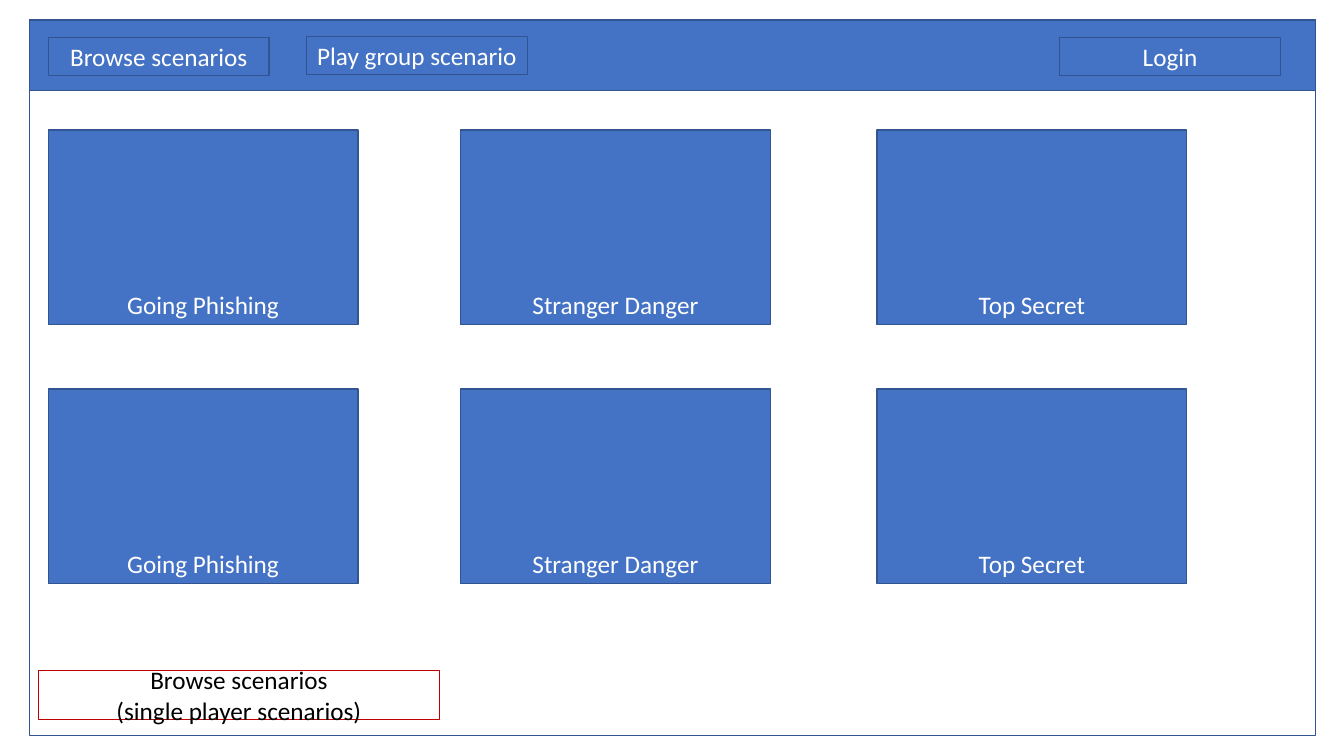
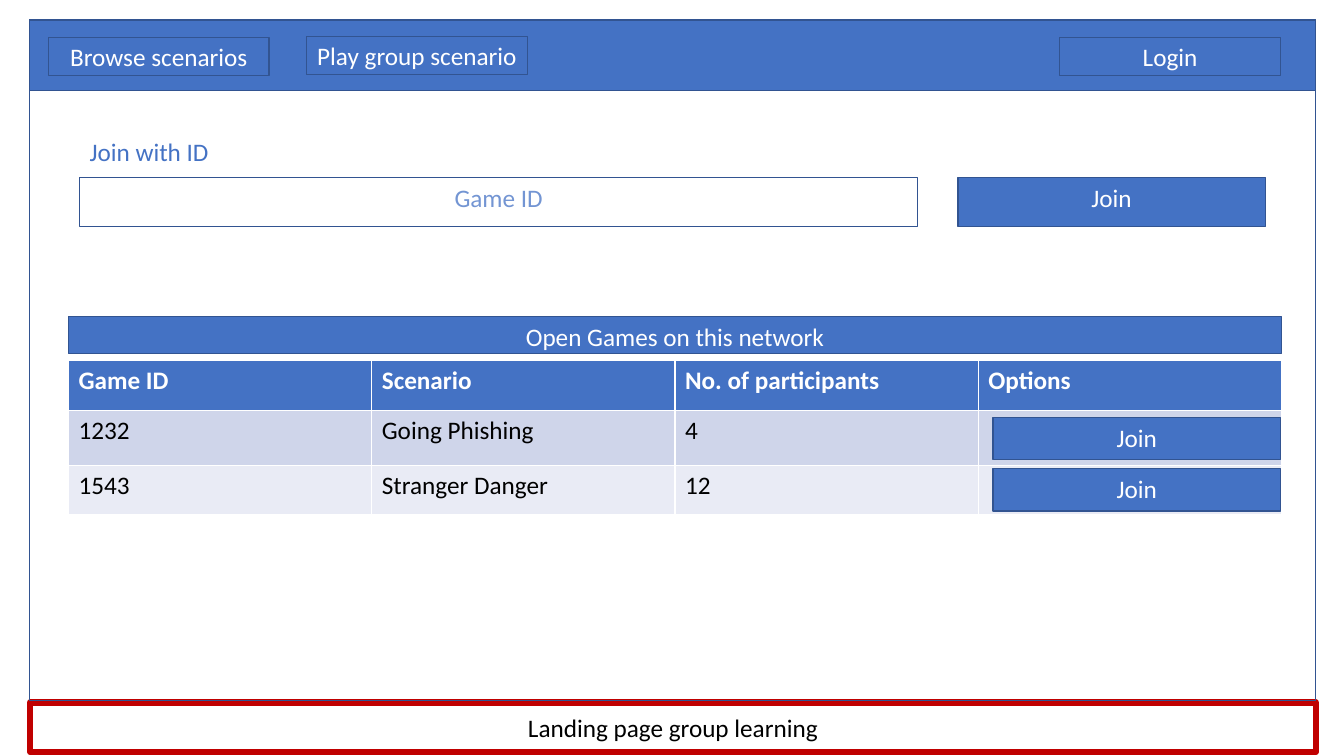
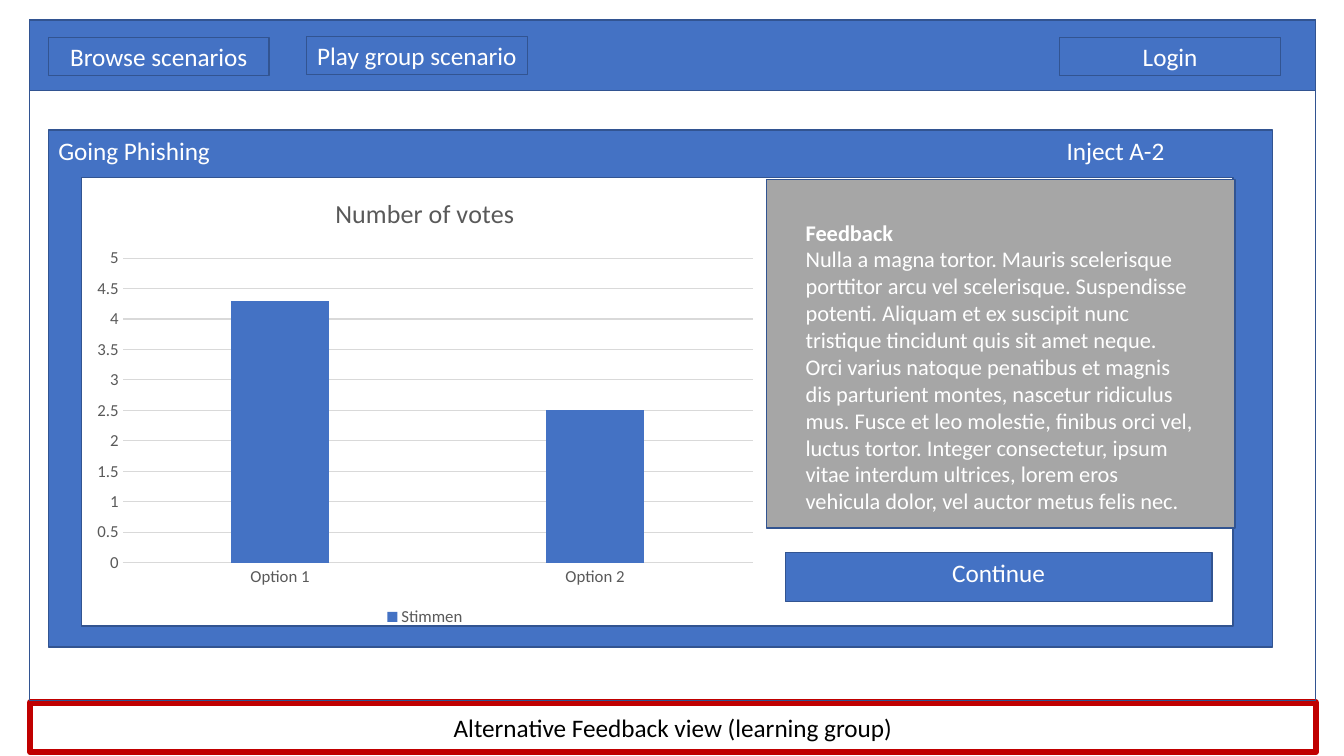
from lxml.etree import SubElement
from pptx import Presentation
from pptx.chart.data import CategoryChartData
from pptx.dml.color import RGBColor
from pptx.enum.chart import XL_CHART_TYPE as ChartType
from pptx.enum.chart import XL_LEGEND_POSITION as LegendPosition
from pptx.enum.chart import XL_TICK_MARK as TickMark
from pptx.enum.shapes import MSO_SHAPE as Shape
from pptx.enum.text import MSO_ANCHOR as Anchor
from pptx.enum.text import MSO_AUTO_SIZE as AutoSize
from pptx.enum.text import PP_ALIGN as Align
from pptx.oxml.ns import qn
from pptx.util import Inches, Pt

FONT = "Calibri"
BLUE, DARK_BLUE, PALE_BLUE = "4472C4", "325491", "7395D3"
WHITE, BLACK, RED = "FFFFFF", "000000", "C00000"
GRAY, AXIS_GRAY, GRID_GRAY = "A6A6A6", "595959", "D9D9D9"
ROW_FILLS = (BLUE, "CFD5EA", "E9EBF5")

SCENARIOS = ("Going Phishing", "Stranger Danger", "Top Secret")
OPEN_GAMES = (
    ("Game ID", "Scenario", "No. of participants", "Options"),
    ("1232", "Going Phishing", "4", ""),
    ("1543", "Stranger Danger", "12", ""),
)
FEEDBACK = (
    "Nulla a magna tortor. Mauris scelerisque porttitor arcu vel scelerisque. "
    "Suspendisse potenti. Aliquam et ex suscipit nunc tristique tincidunt quis "
    "sit amet neque. Orci varius natoque penatibus et magnis dis parturient "
    "montes, nascetur ridiculus mus. Fusce et leo molestie, finibus orci vel, "
    "luctus tortor. Integer consectetur, ipsum vitae interdum ultrices, lorem "
    "eros vehicula dolor, vel auctor metus felis nec."
)


def rgb(color):
    """Turn a hex string into a colour."""
    return RGBColor.from_string(color)


def style_font(font, color, size=18, bold=False):
    """Set the shared typeface with a colour, size and weight."""
    font.name, font.size, font.bold = FONT, Pt(size), bold
    font.color.rgb = rgb(color)


def write(frame, text, color=WHITE, align=Align.CENTER, anchor=Anchor.TOP, size=18):
    """Fill a text frame, one paragraph for each line of text."""
    frame.text = text
    frame.word_wrap = True
    frame.vertical_anchor = anchor
    for paragraph in frame.paragraphs:
        paragraph.alignment = align
        style_font(paragraph.font, color, size)


def add_box(slide, left, top, width, height, text="", fill=BLUE, **text_style):
    """Add an outlined rectangle, filled unless fill is None."""
    box = slide.shapes.add_shape(
        Shape.RECTANGLE, Inches(left), Inches(top), Inches(width), Inches(height))
    box.shadow.inherit = False
    if fill:
        box.fill.solid()
        box.fill.fore_color.rgb = rgb(fill)
    else:
        box.fill.background()
    box.line.color.rgb = rgb(DARK_BLUE)
    box.line.width = Pt(1)
    if text:
        write(box.text_frame, text, **text_style)
    return box


def add_tab_stop(paragraph, position):
    """Give a paragraph one left tab stop."""
    properties = paragraph._p.get_or_add_pPr()
    stops = SubElement(properties, qn("a:tabLst"))
    SubElement(stops, qn("a:tab"), pos=str(Inches(position)), algn="l")
    properties.insert(0, stops)


def add_caption(slide, text, left=0.3, top=6.97, width=12.75, line_width=4.5):
    """Turn the title placeholder into the red-framed page caption."""
    caption = slide.shapes.title
    caption.left, caption.top = Inches(left), Inches(top)
    caption.width, caption.height = Inches(width), Inches(0.49)
    caption.line.color.rgb = rgb(RED)
    caption.line.width = Pt(line_width)
    write(caption.text_frame, text, BLACK, anchor=Anchor.MIDDLE)
    caption.text_frame.auto_size = AutoSize.NONE


def add_page(deck, page_height=6.75):
    """Add a slide with the page frame and the navigation bar."""
    slide = deck.slides.add_slide(deck.slide_layouts[5])
    add_box(slide, 0.29, 0.2, 12.76, page_height, fill=None)
    add_box(slide, 0.29, 0.2, 12.76, 0.7)
    for left, top, label in ((0.48, 0.37, "Browse scenarios"),
                             (3.04, 0.36, "Play group scenario"),
                             (10.51, 0.37, "Login")):
        add_box(slide, left, top, 2.19, 0.38, label, fill=None, anchor=Anchor.MIDDLE)
    return slide


def add_games_table(slide):
    """Add the table of open games."""
    table = slide.shapes.add_table(
        len(OPEN_GAMES), len(OPEN_GAMES[0]),
        Inches(0.68), Inches(3.58), Inches(12.03), Inches(1.53)).table
    for row, height in zip(table.rows, (0.49, 0.55, 0.49)):
        row.height = Inches(height)
    for row_index, (game, fill) in enumerate(zip(OPEN_GAMES, ROW_FILLS)):
        is_header = row_index == 0
        for column_index, text in enumerate(game):
            cell = table.cell(row_index, column_index)
            cell.text = text
            cell.fill.solid()
            cell.fill.fore_color.rgb = rgb(fill)
            style_font(cell.text_frame.paragraphs[0].font,
                       WHITE if is_header else BLACK, bold=is_header)


def add_votes_chart(slide):
    """Add the column chart of votes per option."""
    votes = CategoryChartData()
    votes.categories = ("Option 1", "Option 2")
    votes.add_series("Stimmen", (4.3, 2.5))
    chart = slide.shapes.add_chart(
        ChartType.COLUMN_CLUSTERED,
        Inches(0.83), Inches(1.75), Inches(6.77), Inches(4.51), votes).chart
    style_font(chart.font, AXIS_GRAY, 12)

    chart.has_title = True
    chart.chart_title.text_frame.text = "Number of votes"
    style_font(chart.chart_title.text_frame.paragraphs[0].font, AXIS_GRAY, 18.6)
    chart.chart_title.include_in_layout = False
    chart.has_legend = True
    chart.legend.position = LegendPosition.BOTTOM
    chart.legend.include_in_layout = False

    for axis in (chart.category_axis, chart.value_axis):
        axis.major_tick_mark = axis.minor_tick_mark = TickMark.NONE
    value_axis = chart.value_axis
    value_axis.minimum_scale, value_axis.maximum_scale = 0, 5
    value_axis.major_unit = 0.5
    value_axis.format.line.fill.background()
    for line in (chart.category_axis.format.line, value_axis.major_gridlines.format.line):
        line.color.rgb = rgb(GRID_GRAY)
        line.width = Pt(0.75)

    plot = chart.plots[0]
    plot.gap_width, plot.overlap, plot.vary_by_categories = 219, -27, False
    columns = plot.series[0].format
    columns.fill.solid()
    columns.fill.fore_color.rgb = rgb(BLUE)


def add_feedback(slide):
    """Add the grey feedback panel with its bold heading."""
    panel = add_box(slide, 7.6, 1.78, 4.65, 3.46, f"Feedback\n{FEEDBACK}",
                    fill=GRAY, align=Align.LEFT, size=16)
    frame = panel.text_frame
    frame.margin_left = frame.margin_top = frame.margin_right = Inches(0.39)
    frame.paragraphs[0].font.bold = True


def build_browse_page(deck):
    """Build the grid of single player scenarios."""
    slide = add_page(deck, page_height=7.1)
    for top in (1.29, 3.86):
        for left, scenario in zip((0.48, 4.57, 8.7), SCENARIOS):
            add_box(slide, left, top, 3.07, 1.93, scenario, anchor=Anchor.BOTTOM)
    add_caption(slide, "Browse scenarios\n(single player scenarios)",
                0.38, 6.65, 3.98, line_width=1)


def build_group_page(deck):
    """Build the landing page for joining a group game."""
    slide = add_page(deck)
    join_label = slide.shapes.add_textbox(
        Inches(0.79), Inches(1.3), Inches(2.85), Inches(0.42))
    write(join_label.text_frame, "Join with ID", BLUE, Align.LEFT)
    add_box(slide, 0.79, 1.76, 8.31, 0.49, "Game ID", fill=None, color=PALE_BLUE)
    add_box(slide, 9.5, 1.76, 3.05, 0.49, "Join")
    add_box(slide, 0.68, 3.14, 12.03, 0.37, "Open Games on this network")
    add_games_table(slide)
    for top in (4.14, 4.65):
        add_box(slide, 9.85, top, 2.85, 0.42, "Join")
    add_caption(slide, "Landing page group learning")


def build_feedback_page(deck):
    """Build the group feedback view with the vote result."""
    slide = add_page(deck)
    scenario = add_box(slide, 0.48, 1.29, 12.14, 5.13,
                       "Going Phishing\tInject A-2", align=Align.LEFT)
    add_tab_stop(scenario.text_frame.paragraphs[0], 10)
    add_box(slide, 0.81, 1.76, 11.42, 4.45, fill=WHITE)
    add_votes_chart(slide)
    add_feedback(slide)
    add_box(slide, 7.79, 5.48, 4.23, 0.49, "Continue")
    add_caption(slide, "Alternative Feedback view (learning group)")


def main():
    """Build the three pages and save the deck."""
    deck = Presentation()
    deck.slide_width, deck.slide_height = Inches(13.33), Inches(7.5)
    build_browse_page(deck)
    build_group_page(deck)
    build_feedback_page(deck)
    deck.save("out.pptx")


main()
